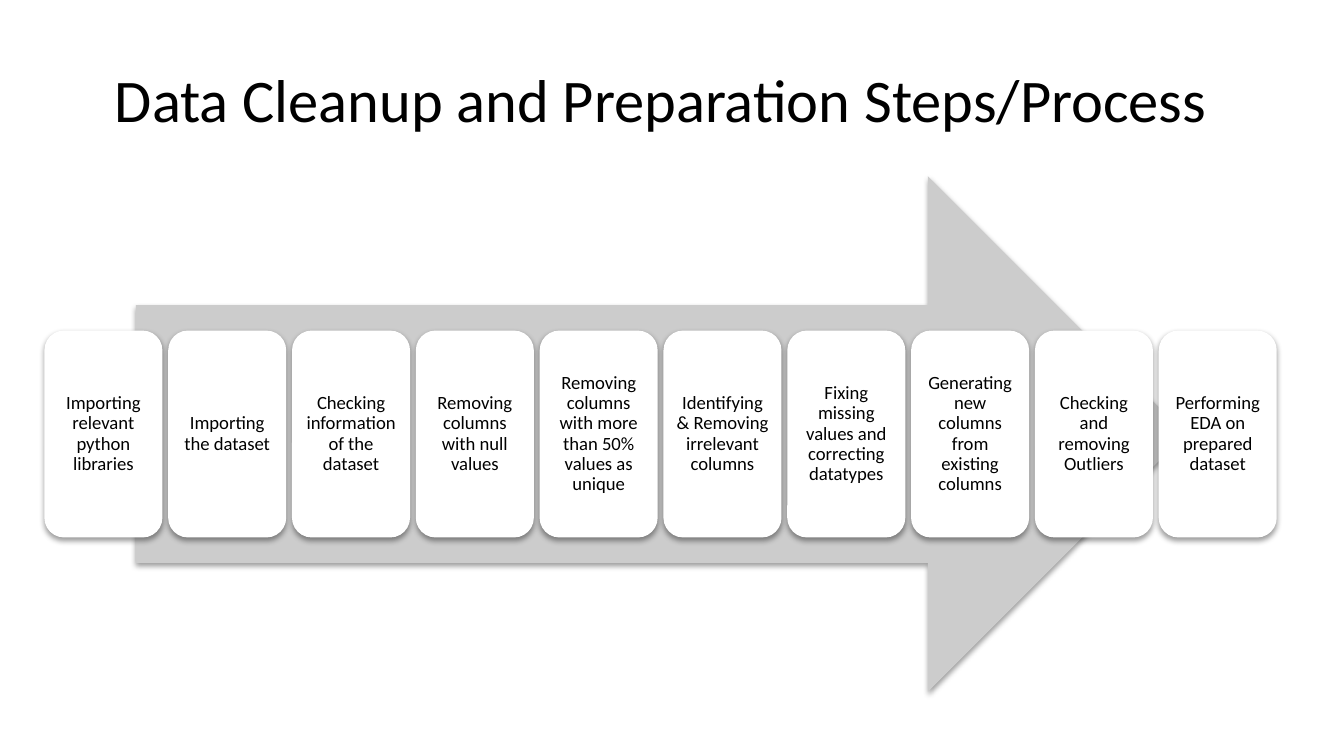
"""Build a slide showing ten data preparation steps along an arrow."""
from lxml import etree
from pptx import Presentation
from pptx.dml.color import RGBColor
from pptx.enum.shapes import MSO_SHAPE
from pptx.enum.text import MSO_ANCHOR, PP_ALIGN
from pptx.oxml.ns import qn
from pptx.util import Cm, Pt

ARROW, CARD = MSO_SHAPE.RIGHT_ARROW, MSO_SHAPE.ROUNDED_RECTANGLE
MIDDLE, CENTER = MSO_ANCHOR.MIDDLE, PP_ALIGN.CENTER

TITLE = "Data Cleanup and Preparation Steps/Process"
STEPS = [
    "Importing relevant python libraries",
    "Importing the dataset",
    "Checking information of the dataset",
    "Removing columns with null values",
    "Removing columns with more than 50% values as unique",
    "Identifying & Removing irrelevant columns",
    "Fixing missing values and correcting datatypes",
    "Generating new columns from existing columns",
    "Checking and removing Outliers",
    "Performing EDA on prepared dataset",
]

COLORS = {"text": "000000", "arrow": "CCCCCC", "card": "FFFFFF", "shadow": "000000"}
FONT = "Calibri"
SLIDE_SIZE = (25.4, 14.29)
TITLE_AREA = (0.82, 0.79, 23.34, 2.13)
ARROW_AREA = (2.57, 3.33, 19.84, 9.75)
CARD_LEFT, CARD_WIDTH, CARD_HEIGHT, CARD_STEP = 0.84, 2.23, 3.91, 2.34
CARD_TOP = ARROW_AREA[1] + (ARROW_AREA[3] - CARD_HEIGHT) / 2
CARD_INSET = 0.1
SHADOW = {"blurRad": Pt(3.1), "dist": Pt(1.6), "dir": 90 * 60000}
SHADOW_ALPHA = 38000


def write_text(shape, text, size, inset, spacing):
    frame = shape.text_frame
    margins = ("margin_left", "margin_top", "margin_right", "margin_bottom")
    layout = {"word_wrap": True, "vertical_anchor": MIDDLE, **dict.fromkeys(margins, Cm(inset))}
    for name, value in layout.items():
        setattr(frame, name, value)
    para = frame.paragraphs[0]
    para.alignment, para.line_spacing = CENTER, spacing
    span = para.add_run()
    span.text = text
    for name, value in {"name": FONT, "size": Pt(size)}.items():
        setattr(span.font, name, value)
    span.font.color.rgb = RGBColor.from_string(COLORS["text"])


def add_shadow(shape):
    shape.shadow.inherit = False
    effects = shape.fill._xPr.find(qn("a:effectLst"))
    shadow = etree.SubElement(effects, qn("a:outerShdw"), rotWithShape="0")
    for name, value in SHADOW.items():
        shadow.set(name, str(value))
    color = etree.SubElement(shadow, qn("a:srgbClr"), val=COLORS["shadow"])
    etree.SubElement(color, qn("a:alpha"), val=str(SHADOW_ALPHA))


def add_raised_shape(page, kind, area, color):
    shape = page.shapes.add_shape(kind, *map(Cm, area))
    shape.fill.solid()
    shape.fill.fore_color.rgb = RGBColor.from_string(COLORS[color])
    shape.line.fill.background()
    add_shadow(shape)
    return shape


def main():
    deck = Presentation()
    deck.slide_width, deck.slide_height = map(Cm, SLIDE_SIZE)
    page = deck.slides.add_slide(deck.slide_layouts[6])

    title = page.shapes.add_textbox(*map(Cm, TITLE_AREA))
    write_text(title, TITLE, 32.4, 0.2, 1.0)

    add_raised_shape(page, ARROW, ARROW_AREA, "arrow")
    for index, step in enumerate(STEPS):
        area = (CARD_LEFT + index * CARD_STEP, CARD_TOP, CARD_WIDTH, CARD_HEIGHT)
        card = add_raised_shape(page, CARD, area, "card")
        write_text(card, step, 10, CARD_INSET, 0.9)

    deck.save("out.pptx")


if __name__ == "__main__":
    main()
